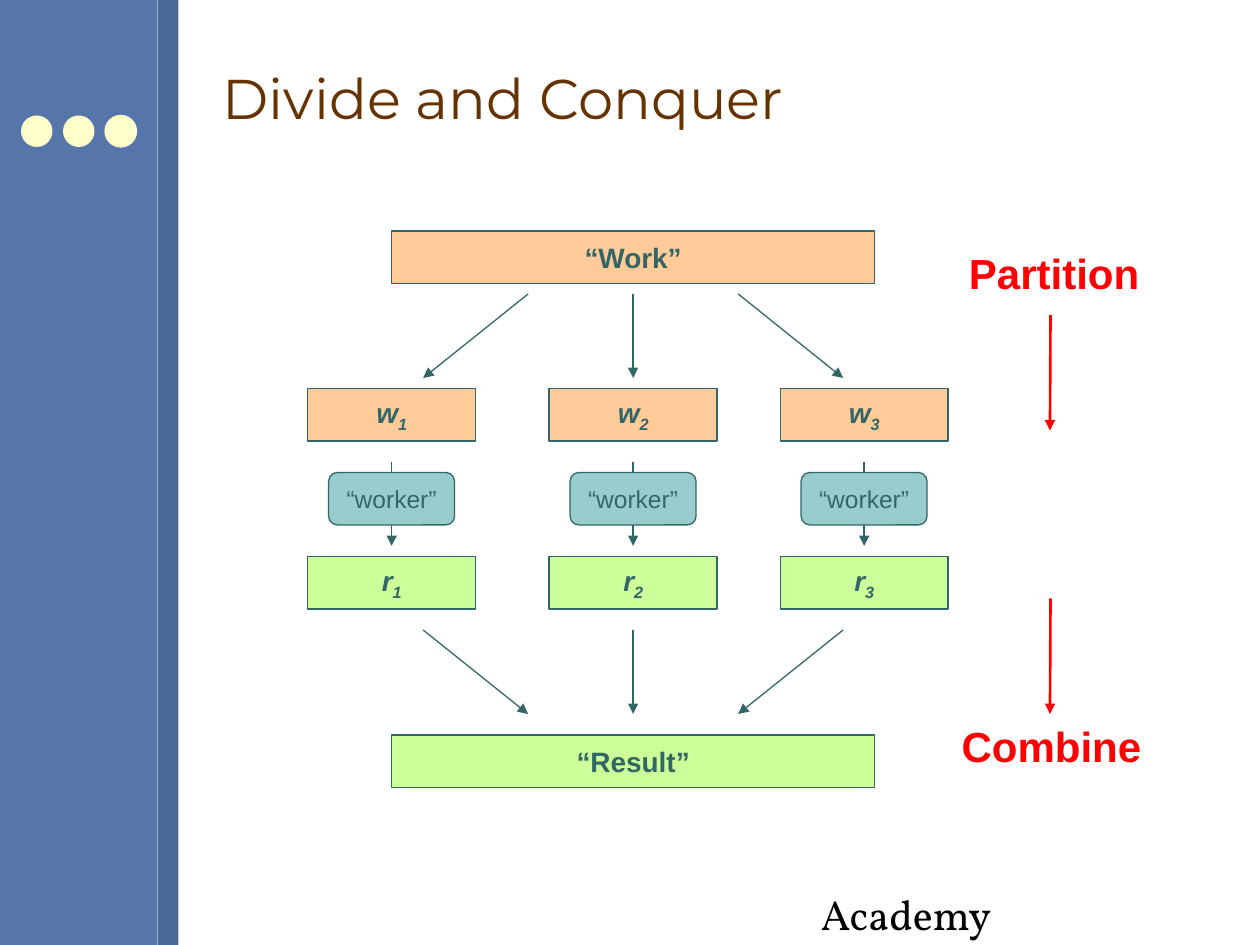
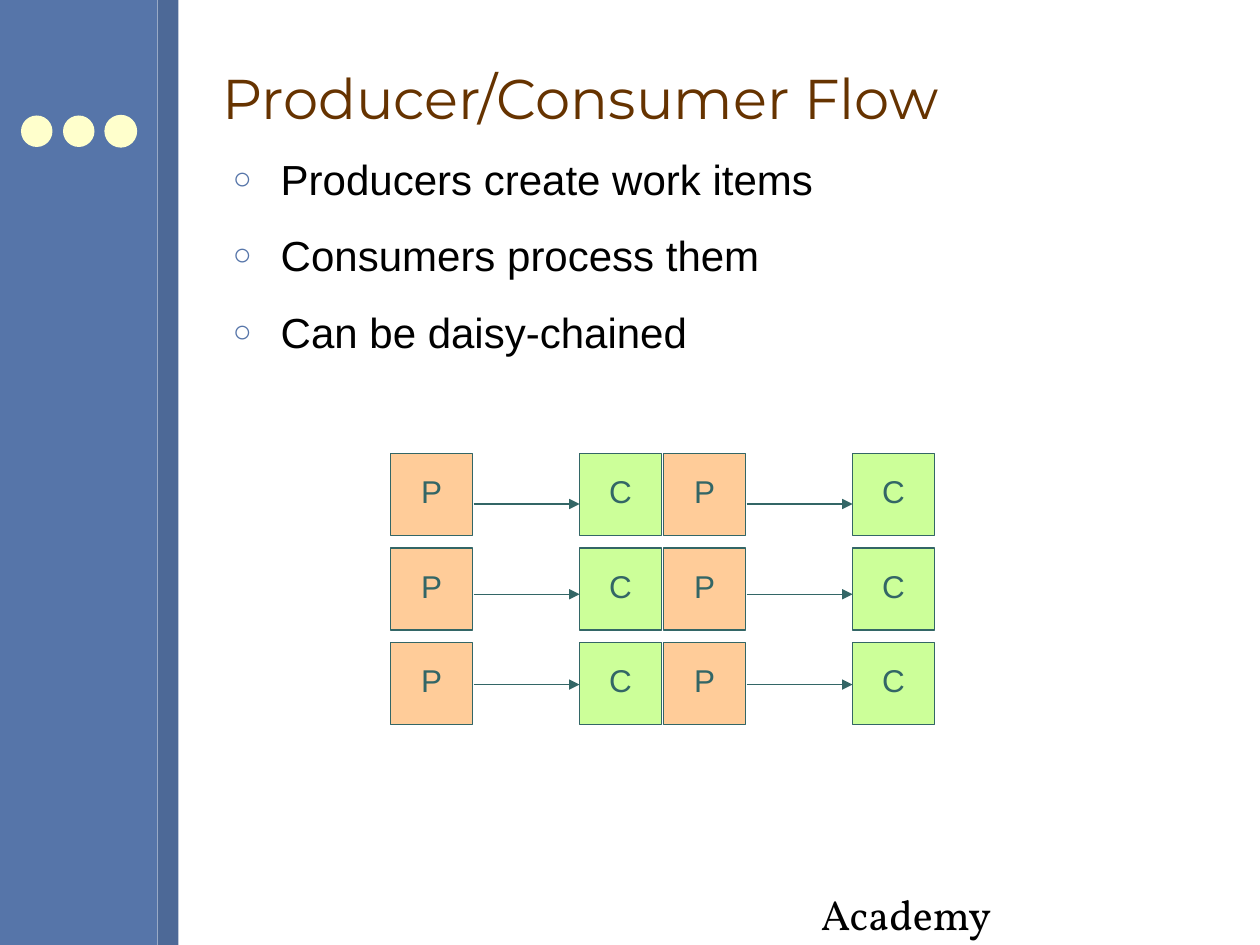
from lxml.etree import SubElement
from pptx import Presentation
from pptx.dml.color import RGBColor
from pptx.enum.shapes import MSO_CONNECTOR, MSO_SHAPE
from pptx.enum.text import MSO_ANCHOR, PP_ALIGN
from pptx.oxml.ns import qn
from pptx.util import Inches, Pt

COLS, ROWS = 120, 90
BLUE, DARK_BLUE, CREAM = "5675A9", "4D6997", "FFFFCC"
ORANGE, GREEN, AQUA = "FFCC99", "CCFF99", "99CCCC"
TEAL, BROWN, RED, BLACK = "336666", "663300", "FF0000", "000000"


def color(hex_code):
    """Turn a hex string into a colour."""
    return RGBColor.from_string(hex_code)


def grid(*cells):
    """Turn grid cells, twelve to the inch, into lengths."""
    return [Inches(cell / 12) for cell in cells]


def style_run(r, size, hex_code, font="Arial", bold=False, italic=False):
    """Set the font of one run."""
    r.font.name, r.font.size = font, Pt(size)
    r.font.bold, r.font.italic = bold, italic
    r.font.color.rgb = color(hex_code)


def add_box(slide, at, fill, line=None, kind=MSO_SHAPE.RECTANGLE):
    """Add a flat filled shape with an optional thin outline."""
    sp = slide.shapes.add_shape(kind, *grid(*at))
    sp.shadow.inherit = False
    sp.fill.solid()
    sp.fill.fore_color.rgb = color(fill)
    if line:
        sp.line.color.rgb = color(line)
        sp.line.width = Pt(0.75)
    else:
        sp.line.fill.background()
    return sp


def write_centred(sp, text, size=16, bold=False, italic=False, subscript=""):
    """Write a centred label, with an optional subscript, in a shape."""
    tf = sp.text_frame
    tf.vertical_anchor = MSO_ANCHOR.MIDDLE
    p = tf.paragraphs[0]
    p.text = text
    p.alignment = PP_ALIGN.CENTER
    if subscript:
        r = p.add_run()
        r.text = subscript
        r._r.get_or_add_rPr().set("baseline", "-25000")
    for r in p.runs:
        style_run(r, size, TEAL, bold=bold, italic=italic)
    return p


def add_arrow(slide, x1, y1, x2, y2, hex_code=TEAL, width=0.75):
    """Add a straight line that ends in a triangle."""
    line = slide.shapes.add_connector(MSO_CONNECTOR.STRAIGHT, *grid(x1, y1, x2, y2))
    line.line.color.rgb = color(hex_code)
    line.line.width = Pt(width)
    SubElement(line.line._get_or_add_ln(), qn("a:tailEnd"), type="triangle")
    SubElement(line._element.spPr, qn("a:effectLst"))


def add_text(slide, at, text, size, hex_code, font="Arial", bold=False):
    """Add a text box in one style and return its text frame."""
    tf = slide.shapes.add_textbox(*grid(*at)).text_frame
    tf.word_wrap = True
    tf.text = text
    for p in tf.paragraphs:
        for r in p.runs:
            style_run(r, size, hex_code, font, bold)
    return tf


def add_base_slide(prs, title):
    """Add a slide with side bands, dots, footer and title."""
    slide = prs.slides.add_slide(prs.slide_layouts[6])
    add_box(slide, (0, 0, 15, ROWS), BLUE)
    add_box(slide, (15, 0, 2, ROWS), DARK_BLUE)
    for x, outline in ((2, None), (6, None), (10, CREAM)):
        add_box(slide, (x, 11, 3, 3), CREAM, outline, MSO_SHAPE.OVAL)
    add_text(slide, (77, 84, 20, 6), "Academy", 24, BLACK, "Vollkorn")
    tf = add_text(slide, (20, 2.5, 96, 13.5), title, 32, BROWN, "Montserrat")
    tf.vertical_anchor = MSO_ANCHOR.MIDDLE
    return slide


def add_divide_diagram(slide, left, top):
    """Draw work split among three workers and joined into a result."""
    for y, text, fill in ((0, "“Work”", ORANGE), (48, "“Result”", GREEN)):
        write_centred(add_box(slide, (left + 8, top + y, 46, 5), fill, TEAL), text, bold=True)
    for number, x in enumerate((0, 23, 45), 1):
        for y, letter, fill in ((15, "w", ORANGE), (31, "r", GREEN)):
            sp = add_box(slide, (left + x, top + y, 16, 5), fill, TEAL)
            write_centred(sp, letter, bold=True, italic=True, subscript=str(number))
        middle = left + x + 8
        add_arrow(slide, middle, top + 22, middle, top + 30)
        worker = add_box(slide, (left + x + 2, top + 23, 12, 5), AQUA, TEAL,
                         MSO_SHAPE.ROUNDED_RECTANGLE)
        write_centred(worker, "“worker”", 14)
    for inner, outer in ((21, 11), (31, 31), (41, 51)):
        add_arrow(slide, left + inner, top + 6, left + outer, top + 14)
        add_arrow(slide, left + outer, top + 38, left + inner, top + 46)


def add_phases(slide, left, top):
    """Label the two phases, each with a red arrow."""
    for text, x, label_y, arrow_y in (("Partition", 0.7, 0, 7), ("Combine", 0, 45, 34)):
        add_text(slide, (left + x, top + label_y, 22, 6), text, 24, RED, bold=True)
        add_arrow(slide, left + 9.65, top + arrow_y, left + 9.6, top + arrow_y + 11, RED, 1.5)


def add_bullets(slide, at, items):
    """List items behind hollow round bullets."""
    tf = add_text(slide, at, "\n".join(items), 24, BLACK)
    for p in tf.paragraphs:
        p.space_before = p.space_after = Pt(7.5)
        pPr = p._p.get_or_add_pPr()
        pPr.set("marL", str(Inches(0.38)))
        pPr.set("indent", str(Inches(-0.38)))
        SubElement(SubElement(pPr, qn("a:buClr")), qn("a:srgbClr"), val=BLUE)
        SubElement(pPr, qn("a:buSzPct"), val="75000")
        SubElement(pPr, qn("a:buFont"), typeface="Arial")
        SubElement(pPr, qn("a:buChar"), char="○")


def add_flow_diagram(slide, left, top):
    """Draw three rows of two chained producer and consumer pairs."""
    side, consumer_x = 7.8, 18
    for row in range(3):
        arrow_y = top + 4.8 + 8.6 * row
        for pair_x in (left, left + 26):
            for x, letter, fill in ((0, "P", ORANGE), (consumer_x, "C", GREEN)):
                sp = add_box(slide, (pair_x + x, top + 9 * row, side, side), fill, TEAL,
                             MSO_SHAPE.ROUNDED_RECTANGLE)
                sp.adjustments[0] = 0
                write_centred(sp, letter, 18).line_spacing = 0.81
            add_arrow(slide, pair_x + side + 0.1, arrow_y, pair_x + consumer_x, arrow_y)


def main():
    """Build both slides and save the file."""
    prs = Presentation()
    prs.slide_width, prs.slide_height = grid(COLS, ROWS)

    slide = add_base_slide(prs, "Divide and Conquer")
    add_divide_diagram(slide, 29.3, 22)
    add_phases(slide, 90.4, 23)

    slide = add_base_slide(prs, "Producer/Consumer Flow")
    add_bullets(slide, (21, 14, 95, 69), (
        "Producers create work items",
        "Consumers process them",
        "Can be daisy-chained",
    ))
    add_flow_diagram(slide, 37.2, 43.2)

    prs.save("out.pptx")


if __name__ == "__main__":
    main()
